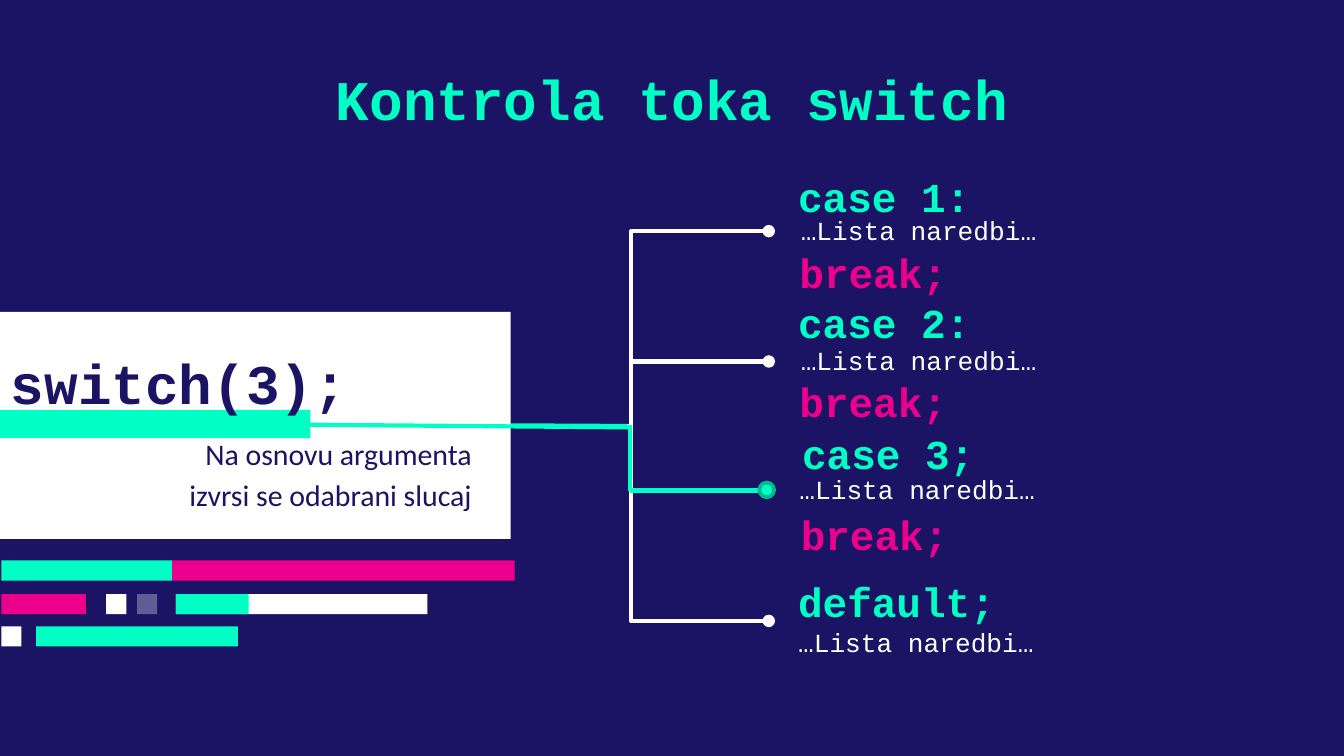
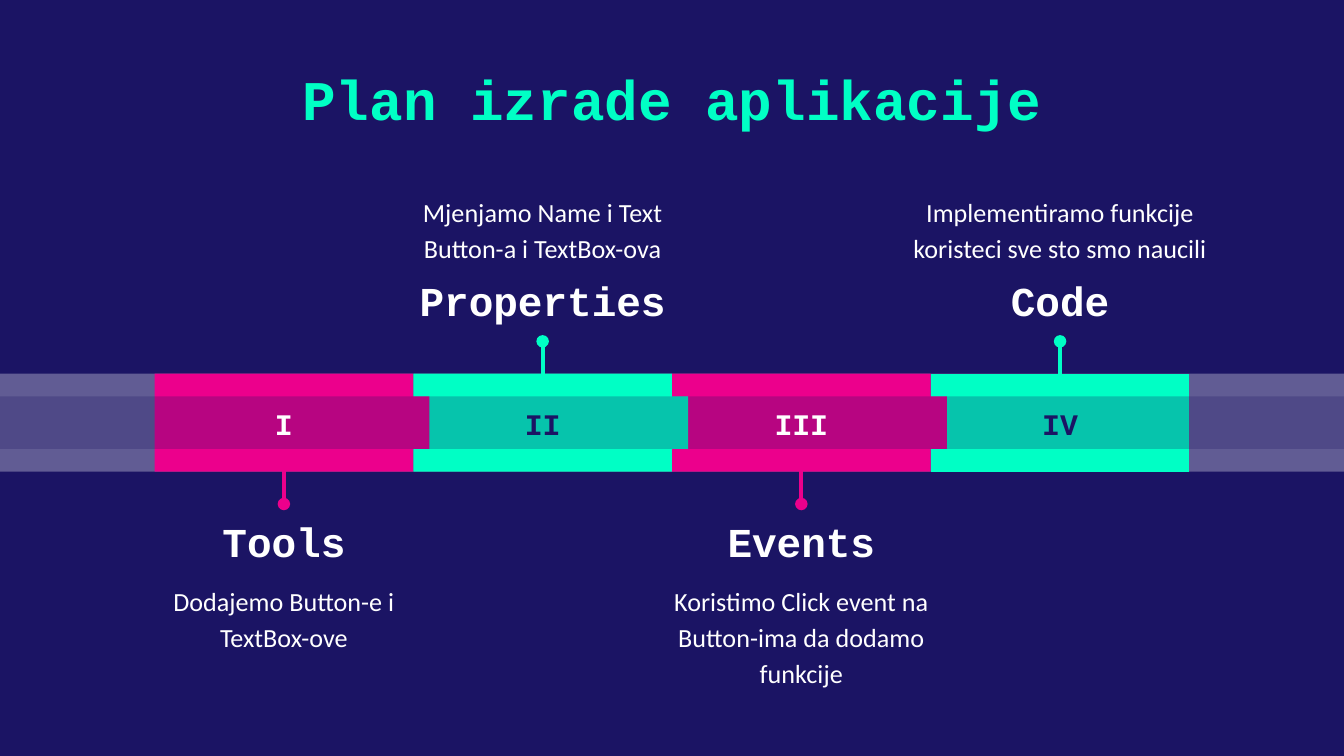
from lxml import etree
from pptx import Presentation
from pptx.dml.color import RGBColor
from pptx.enum.shapes import MSO_CONNECTOR as CONN, MSO_SHAPE as SHAPE
from pptx.enum.text import MSO_ANCHOR as ANCHOR, PP_ALIGN as ALIGN
from pptx.oxml.ns import qn
from pptx.util import Inches, Pt

NAVY = RGBColor(0x1B, 0x14, 0x64)
MINT = RGBColor(0x00, 0xFF, 0xC5)
TEAL = RGBColor(0x00, 0xBA, 0x8F)
PINK = RGBColor(0xEC, 0x00, 0x8C)
WHITE = RGBColor(0xFF, 0xFF, 0xFF)
MONO = "Courier New"
SANS = "Calibri"
WIDTH = 10
HEIGHT = WIDTH * 9 / 16


def paint(sp, color, alpha=None):
    sp.shadow.inherit = False
    sp.fill.solid()
    sp.fill.fore_color.rgb = color
    sp.line.fill.background()
    if alpha is not None:
        clr = sp.fill._xPr.find(qn("a:solidFill"))[0]
        etree.SubElement(clr, qn("a:alpha")).set("val", str(alpha * 1000))
    return sp


def rect(s, x, y, w, h, color, alpha=None):
    sp = s.shapes.add_shape(SHAPE.RECTANGLE, Inches(x), Inches(y), Inches(w), Inches(h))
    return paint(sp, color, alpha)


def text(s, x, y, w, h, lines, size, color, font=MONO, align=ALIGN.LEFT,
         anchor=ANCHOR.TOP, pad=0, spacing=None):
    tf = s.shapes.add_textbox(Inches(x), Inches(y), Inches(w), Inches(h)).text_frame
    tf.word_wrap = True
    tf.vertical_anchor = anchor
    tf.margin_left = tf.margin_right = Inches(0.1)
    tf.margin_top = tf.margin_bottom = Inches(pad)
    for i, line_text in enumerate(lines.split("\n")):
        p = tf.add_paragraph() if i else tf.paragraphs[0]
        p.alignment = align
        if spacing:
            p.line_spacing = spacing
        r = p.add_run()
        r.text = line_text
        r.font.size = Pt(size)
        r.font.name = font
        r.font.color.rgb = color
        r.font.bold = font == MONO and size > 14


def line(s, start, end, color, kind=CONN.STRAIGHT, oval=None):
    c = s.shapes.add_connector(kind, *(Inches(v) for v in (*start, *end)))
    c.line.color.rgb = color
    c.line.width = Pt(2.25)
    if oval:
        etree.SubElement(c.line._get_or_add_ln(), qn(f"a:{oval}")).set("type", "oval")
    etree.SubElement(c._element.spPr, qn("a:effectLst"))
    return c


def new_slide(prs, title):
    s = prs.slides.add_slide(prs.slide_layouts[6])
    s.background.fill.solid()
    s.background.fill.fore_color.rgb = NAVY
    text(s, 1.4, 0.38, 7.2, 0.73, title, 30, MINT, align=ALIGN.CENTER, pad=0.1)
    return s


def switch_card(s, x, y):
    card = rect(s, x, y, 3.83, 1.69, WHITE)
    rect(s, x, y + 0.73, 2.34, 0.21, MINT)
    text(s, x - 0.11, y + 0.31, 2.82, 0.43, "switch(3);", 30, NAVY,
         align=ALIGN.RIGHT, anchor=ANCHOR.MIDDLE)
    text(s, x + 0.98, y + 0.88, 2.66, 0.48, "Na osnovu argumenta izvrsi se odabrani slucaj",
         16, NAVY, SANS, ALIGN.RIGHT, spacing=1.15)
    return card


def code_bars(s, x, y):
    rows = [
        [(1.26, 2.56, PINK, None), (0, 1.27, MINT, None)],
        [(1.3, 1.87, WHITE, None), (1.3, 0.54, MINT, None), (0, 0.63, PINK, None),
         (1.01, 0.15, WHITE, 31), (0.78, 0.15, WHITE, None)],
        [(0, 0.15, WHITE, None), (0.26, 1.5, MINT, None)],
    ]
    for row, dy in zip(rows, (0, 0.25, 0.49)):
        for dx, w, color, alpha in row:
            rect(s, x + dx, y + dy, w, 0.15, color, alpha)


def branches(s, card, x, y):
    trunk, tip = x + 1.02, x + 2.05
    for dy in (-1.45, -0.48, 0.48, 1.45):
        line(s, (x, y), (tip, y + dy), WHITE, CONN.ELBOW, "tailEnd")
    line(s, (x + 0.13, y), (trunk - 0.02, y), MINT).begin_connect(card, 3)
    line(s, (trunk, y - 0.01), (trunk, y + 0.48), MINT)
    line(s, (trunk, y + 0.48), (tip, y + 0.48), MINT)
    dot = paint(s.shapes.add_shape(SHAPE.OVAL, Inches(tip - 0.07), Inches(y + 0.42),
                                   Inches(0.11), Inches(0.11)), MINT)
    dot.line.color.rgb = TEAL
    dot.line.width = Pt(2)
    line(s, (x - 1.42, y - 0.01), (trunk, y + 0.01), MINT)


def case_block(s, x, y, label, list_at, break_at=None):
    text(s, x, y, 2.95, 0.3, label, 22, MINT, anchor=ANCHOR.MIDDLE)
    dx, dy = list_at
    text(s, x + dx, y + dy, 2.95, 0.3, "…Lista naredbi…", 14, WHITE, spacing=1.15)
    if break_at:
        dx, dy = break_at
        text(s, x + dx, y + dy, 2.65, 0.47, "break;", 22, PINK, pad=0.05)


def switch_slide(prs):
    s = new_slide(prs, "Kontrola toka switch")
    card = switch_card(s, -0.03, 2.32)
    code_bars(s, 0.01, 4.17)
    branches(s, card, 3.67, 3.17)
    case_block(s, 5.84, 1.31, "case 1:", (0.02, 0.25), (0.01, 0.48))
    case_block(s, 5.84, 2.25, "case 2:", (0.02, 0.28), (0.01, 0.5))
    case_block(s, 5.87, 3.22, "case 3;", (-0.02, 0.27), (-0.01, 0.52))
    case_block(s, 5.84, 4.32, "default;", (0, 0.31))


def segment(s, x, y, w, h, color, tab):
    points = [(x, y), (x, y + h), (x + w, y + h)]
    if tab:
        points += [(x + w, y + 0.56), (x + w + tab, y + 0.56),
                   (x + w + tab, y + 0.17), (x + w, y + 0.17)]
    points.append((x + w, y))
    points = [(Inches(px), Inches(py)) for px, py in points]
    fb = s.shapes.build_freeform(*points[0])
    fb.add_line_segments(points[1:])
    paint(fb.convert_to_shape(), color)


def step(s, center, y, numeral, heading, body, above, body_w):
    color = MINT if above else PINK
    text(s, center - 0.855, y + 0.14, 1.71, 0.39, numeral, 16,
         NAVY if above else WHITE, align=ALIGN.CENTER, pad=0.1)
    dot, foot, head_y, body_y = (-0.24, 0.01, -0.73, -1.38) if above else (0.97, 0.72, 1.06, 1.54)
    line(s, (center, y + dot), (center, y + foot), color, oval="headEnd")
    text(s, center - 1.155, y + head_y, 2.31, 0.39, heading, 22, WHITE, align=ALIGN.CENTER)
    text(s, center - body_w / 2, y + body_y, body_w, 0.56, body, 14, WHITE, SANS, ALIGN.CENTER,
         ANCHOR.BOTTOM if above else ANCHOR.TOP, spacing=1.15)


def timeline(s, x, y, steps):
    pitch, h = (WIDTH - 2 * x) / len(steps), 0.73
    rect(s, 0, y, WIDTH, h, WHITE, 31)
    lefts = [x + pitch * i for i in range(len(steps))]
    for i in reversed(range(len(steps))):
        tab = 0 if i == len(steps) - 1 else 0.12
        segment(s, lefts[i], y, pitch, h, MINT if i % 2 else PINK, tab)
    rect(s, 0, y + 0.17, WIDTH, 0.39, NAVY, 25)
    for i, (numeral, heading, body, body_w) in enumerate(steps):
        step(s, lefts[i] + pitch / 2, y, numeral, heading, body, i % 2 == 1, body_w)


def plan_slide(prs):
    s = new_slide(prs, "Plan izrade aplikacije")
    timeline(s, 1.15, 2.78, [
        ("I", "Tools", "Dodajemo Button-e i\nTextBox-ove", 2.31),
        ("II", "Properties", "Mjenjamo Name i Text Button-a i TextBox-ova", 2.31),
        ("III", "Events", "Koristimo Click event na Button-ima da dodamo funkcije", 2.31),
        ("IV", "Code", "Implementiramo funkcije koristeci sve sto smo naucili", 2.64),
    ])


def main():
    prs = Presentation()
    prs.slide_width = Inches(WIDTH)
    prs.slide_height = Inches(HEIGHT)
    switch_slide(prs)
    plan_slide(prs)
    prs.save("out.pptx")


if __name__ == "__main__":
    main()
